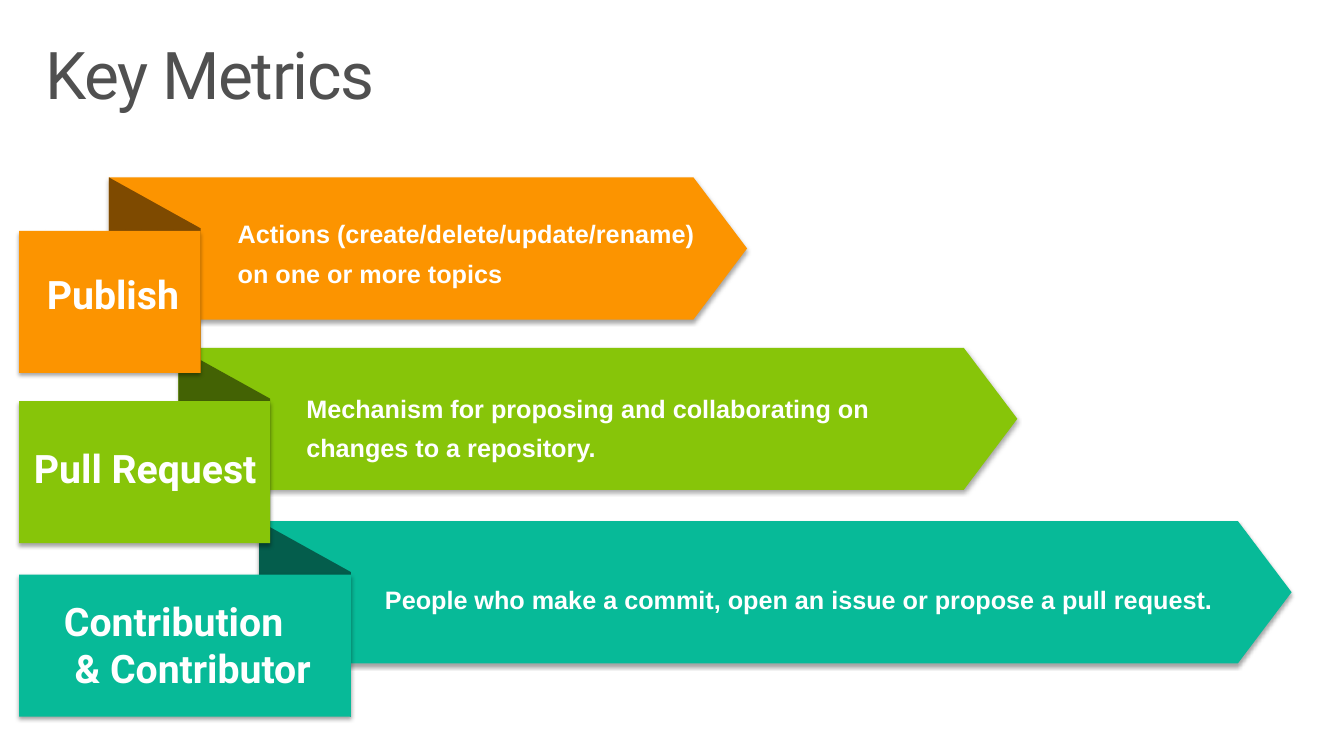
from dataclasses import dataclass

from lxml import etree
from pptx import Presentation
from pptx.dml.color import RGBColor
from pptx.enum.shapes import MSO_SHAPE
from pptx.enum.text import MSO_ANCHOR, MSO_AUTO_SIZE, PP_ALIGN
from pptx.oxml.ns import qn
from pptx.util import Inches, Pt

PENTAGON = MSO_SHAPE.PENTAGON
PARALLELOGRAM = MSO_SHAPE.PARALLELOGRAM
RECTANGLE = MSO_SHAPE.RECTANGLE
LEFT, CENTER, RIGHT = PP_ALIGN.LEFT, PP_ALIGN.CENTER, PP_ALIGN.RIGHT
TOP, MIDDLE = MSO_ANCHOR.TOP, MSO_ANCHOR.MIDDLE
FIT_SHAPE = MSO_AUTO_SIZE.SHAPE_TO_FIT_TEXT


@dataclass(frozen=True)
class Theme:
    title_color: str = "505050"
    text_color: str = "FFFFFF"
    shadow_color: str = "000000"
    orange: tuple = ("FC9400", "7E4A00")
    green: tuple = ("87C509", "436204")
    teal: tuple = ("07BA98", "045D4C")
    heading_font: str = "Roboto"
    body_font: str = "Arial"
    title_size: int = 47
    label_size: int = 28
    caption_size: int = 18


@dataclass(frozen=True)
class Metric:
    box: tuple
    colors: tuple
    label: tuple
    label_box: tuple
    caption: str
    caption_box: tuple


THEME = Theme()
BANNER_HEIGHT = 1.41
FOLD_WIDTH = 0.91
FOLD_HEIGHT = 1.94
CARD_LEFT = 0.19
CARD_DROP = 0.53

METRICS = (
    Metric((1.08, 1.76, 6.33), THEME.orange,
           (("Publish", CENTER),), (0.15, 0.34, 1.56, 0.57),
           "Actions (create/delete/update/rename) on one or more topics",
           (0.27, 0.27, 4.8, 0.89)),
    Metric((1.77, 3.45, 8.32), THEME.green,
           (("Pull Request", CENTER),), (0, 0.38, 2.5, 0.57),
           "Mechanism for proposing and collaborating on changes to a repository.",
           (0.26, 0.31, 6.24, 0.89)),
    Metric((2.57, 5.17, 10.24), THEME.teal,
           (("Contribution ", CENTER), ("& Contributor", RIGHT)),
           (0.17, 0.18, 2.82, 1.04),
           "People who make a commit, open an issue or propose a pull request.",
           (0.24, 0.49, 8.76, 0.49)),
)


def add_text(slide, box, lines, *, font, size, color, bold=False, spacing=1.0,
             wrap=True, auto_size=FIT_SHAPE, anchor=TOP, side_inset=0.1,
             inset=0.05, tracking=0):
    shape = slide.shapes.add_textbox(*map(Inches, box))
    frame = shape.text_frame
    frame.word_wrap = wrap
    frame.auto_size = auto_size
    frame.vertical_anchor = anchor
    frame.margin_left = frame.margin_right = Inches(side_inset)
    frame.margin_top = frame.margin_bottom = Inches(inset)
    for index, (text, alignment) in enumerate(lines):
        paragraph = frame.add_paragraph() if index else frame.paragraphs[0]
        paragraph.alignment = alignment
        paragraph.line_spacing = spacing
        run = paragraph.add_run()
        run.text = text
        run.font.name = font
        run.font.size = Pt(size)
        run.font.bold = bold
        run.font.color.rgb = RGBColor.from_string(color)
        if tracking:
            run.font._element.set("spc", str(tracking * 100))


def add_shadow(shape):
    effects = shape._element.spPr.find(qn("a:effectLst"))
    shadow = etree.SubElement(
        effects, qn("a:outerShdw"), blurRad=str(Pt(3.1)), dist=str(Pt(1.8)),
        dir="5400000", algn="t", rotWithShape="0")
    color = etree.SubElement(shadow, qn("a:srgbClr"), val=THEME.shadow_color)
    etree.SubElement(color, qn("a:alpha"), val="35000")


def add_panel(slide, kind, box, color, *, adjustment=None, rotation=0,
              shadow=True):
    shape = slide.shapes.add_shape(kind, *map(Inches, box))
    shape.shadow.inherit = False
    shape.fill.solid()
    shape.fill.fore_color.rgb = RGBColor.from_string(color)
    shape.line.fill.background()
    shape.rotation = rotation
    if adjustment is not None:
        shape.adjustments[0] = adjustment
    if shadow:
        add_shadow(shape)


def add_title(slide, box):
    add_text(slide, box, (("Key Metrics", LEFT),), font=THEME.heading_font,
             size=THEME.title_size, color=THEME.title_color, spacing=0.9,
             auto_size=MSO_AUTO_SIZE.NONE, anchor=TOP, side_inset=0.16,
             inset=0.1, tracking=-1)


def add_ribbon(slide, metric):
    left, top, width = metric.box
    color, fold_color = metric.colors
    card_right = left + FOLD_WIDTH
    card_top = top + CARD_DROP
    turn = (FOLD_HEIGHT - FOLD_WIDTH) / 2
    add_panel(slide, PENTAGON, (left, top, width, BANNER_HEIGHT), color,
              adjustment=0.377)
    add_panel(slide, PARALLELOGRAM,
              (left - turn, top + turn, FOLD_HEIGHT, FOLD_WIDTH), fold_color,
              adjustment=0.555, rotation=270, shadow=False)
    add_panel(slide, RECTANGLE,
              (CARD_LEFT, card_top, card_right - CARD_LEFT, BANNER_HEIGHT), color)

    x, y, label_width, label_height = metric.label_box
    add_text(slide, (CARD_LEFT + x, card_top + y, label_width, label_height),
             metric.label, font=THEME.heading_font, size=THEME.label_size,
             color=THEME.text_color, bold=True, wrap=False)
    x, y, caption_width, caption_height = metric.caption_box
    add_text(slide, (card_right + x, top + y, caption_width, caption_height),
             ((metric.caption, LEFT),), font=THEME.body_font,
             size=THEME.caption_size, color=THEME.text_color, bold=True,
             spacing=1.3)


def main():
    presentation = Presentation()
    presentation.slide_width = Inches(13.33)
    presentation.slide_height = Inches(7.5)
    slide = presentation.slides.add_slide(presentation.slide_layouts[6])
    add_title(slide, (0.29, 0.32, 12.74, 0.98))
    for metric in reversed(METRICS):
        add_ribbon(slide, metric)
    presentation.save("out.pptx")


if __name__ == "__main__":
    main()
